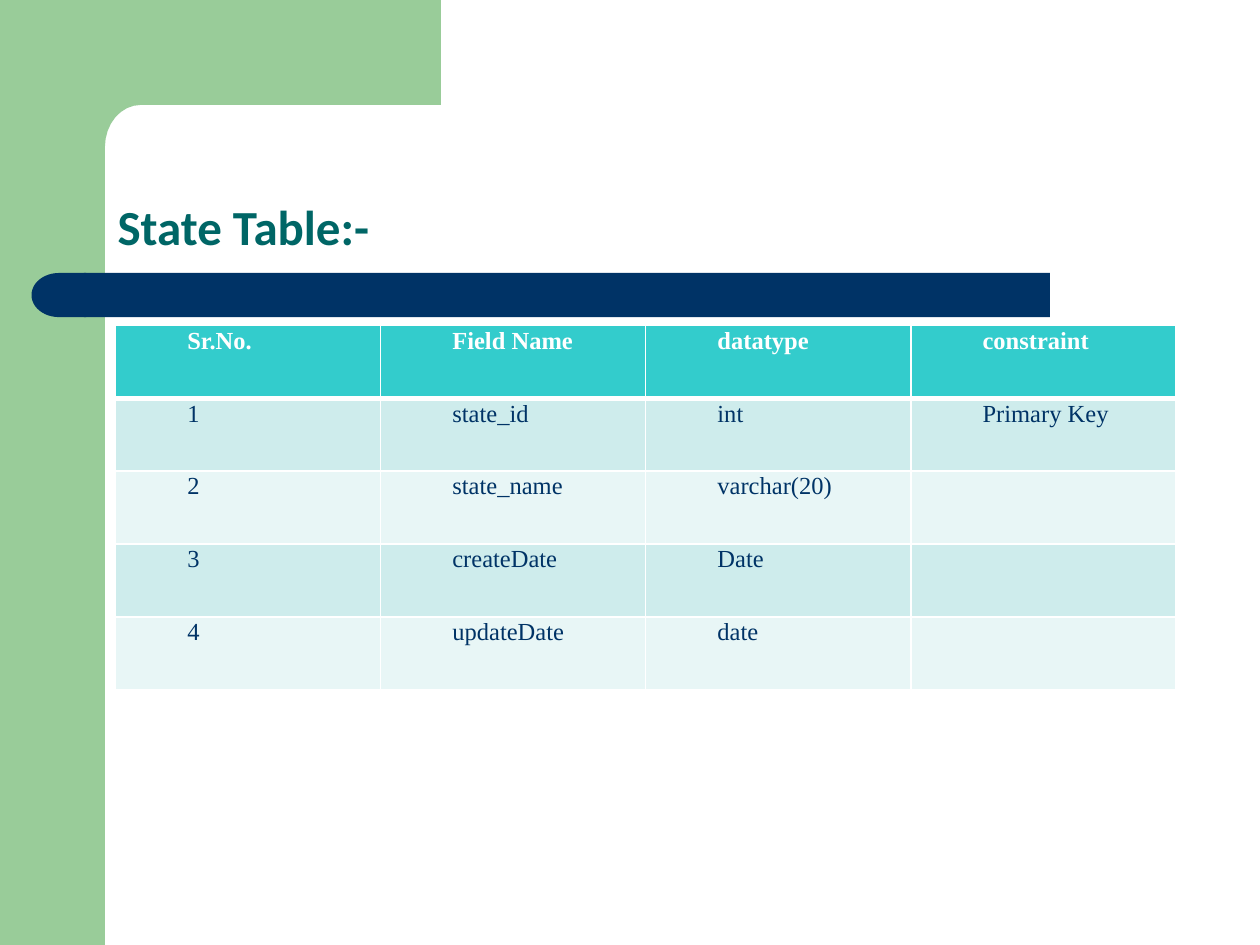
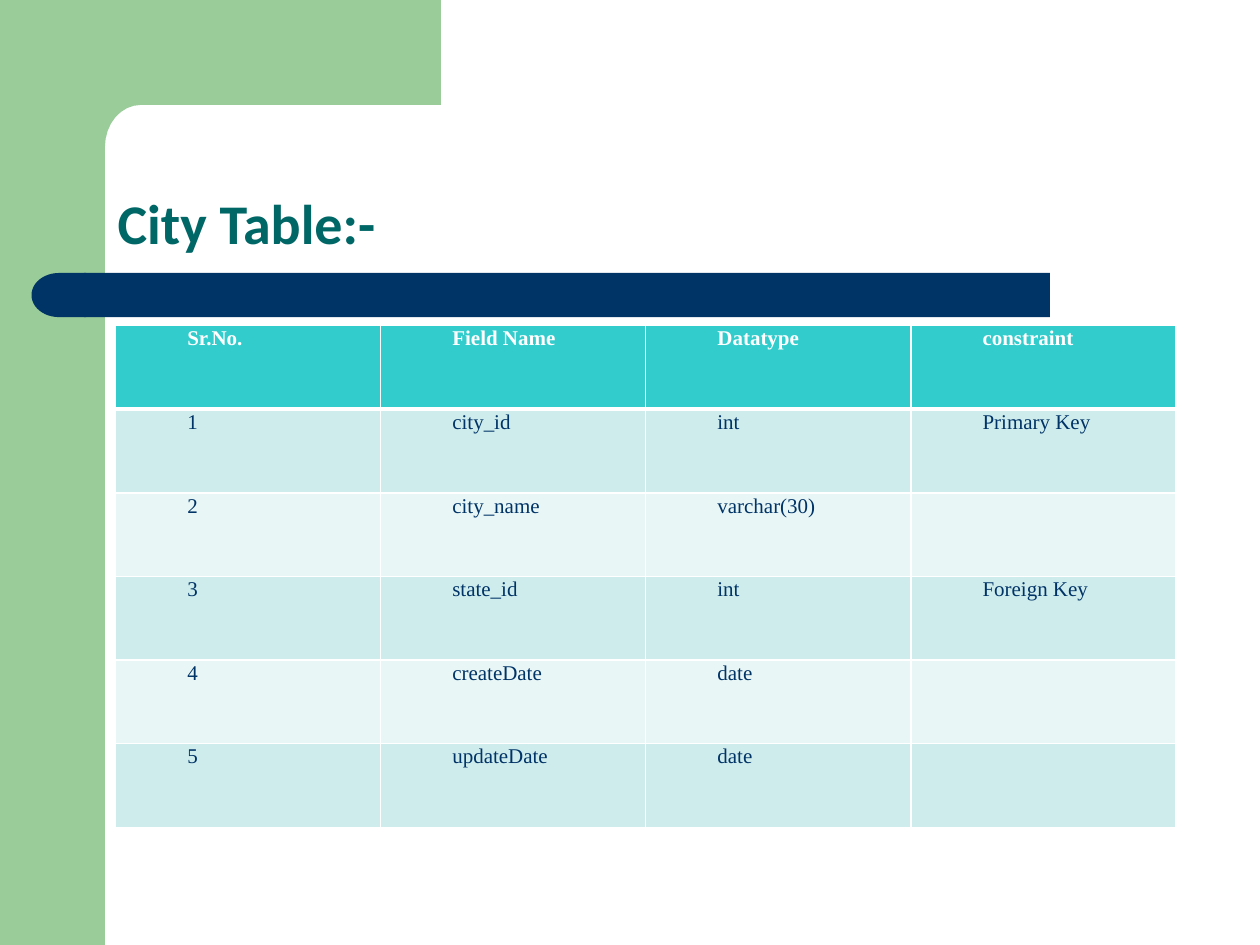
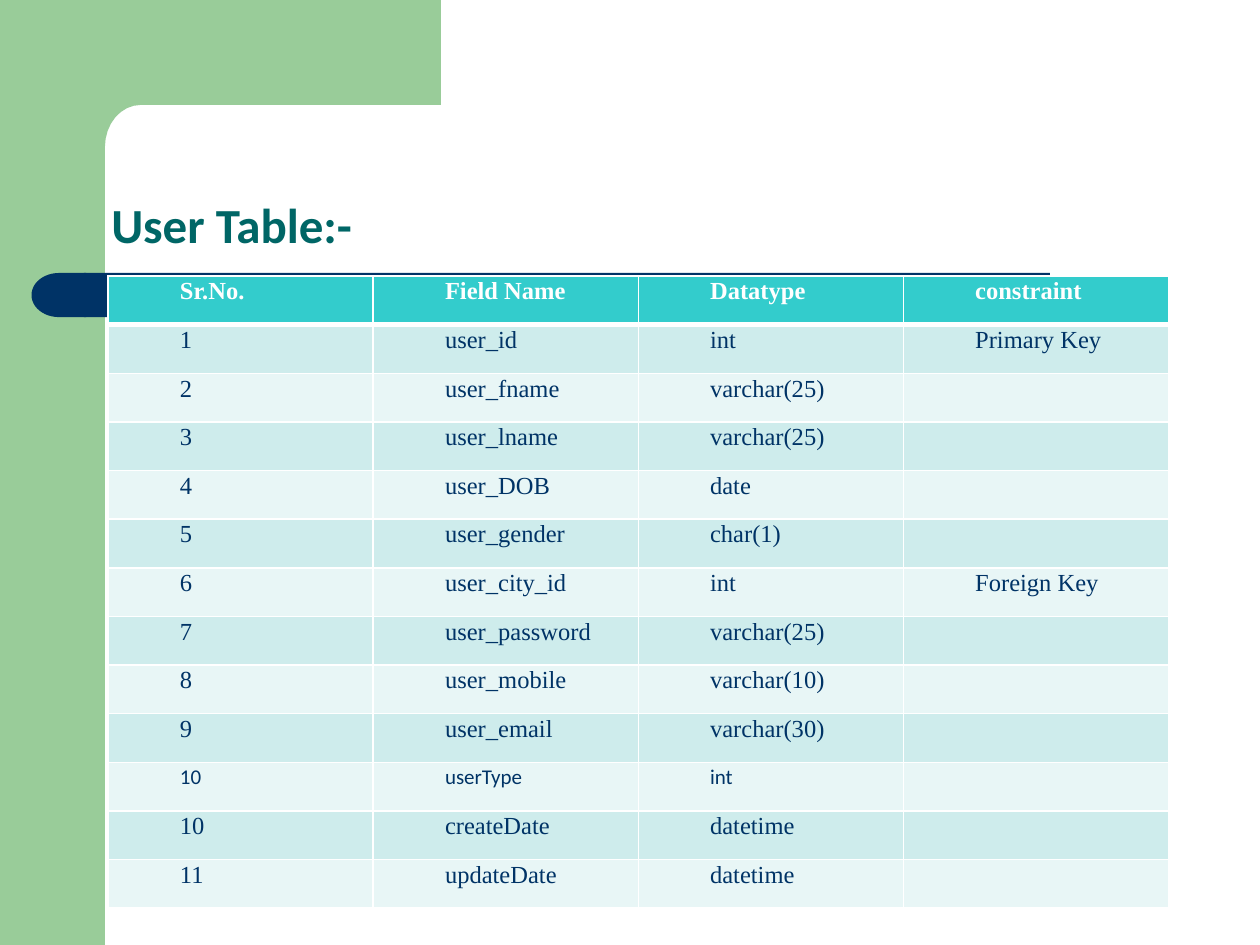
from dataclasses import dataclass
from math import cos, pi, sin

from lxml.etree import SubElement
from pptx import Presentation
from pptx.dml.color import RGBColor
from pptx.enum.shapes import MSO_SHAPE as Preset
from pptx.enum.text import MSO_ANCHOR as Anchor, MSO_AUTO_SIZE as AutoSize, PP_ALIGN as Align
from pptx.oxml.ns import qn
from pptx.util import Inches, Pt


@dataclass(frozen=True)
class Theme:
    green: str = "99CC99"
    navy: str = "003366"
    teal: str = "006666"
    header: str = "33CCCC"
    odd: str = "CEECEC"
    even: str = "E8F6F6"
    white: str = "FFFFFF"
    heading_font: str = "Calibri"
    table_font: str = "Times New Roman"
    heading: int = 28
    large_heading: int = 32
    entry: int = 14
    small_entry: int = 12


theme = Theme()
GRID_COLUMNS, GRID_ROWS = 120, 90

deck = Presentation()
deck.slide_width, deck.slide_height = Inches(10), Inches(7.5)
unit = deck.slide_width / GRID_COLUMNS


def grid(*steps):
    return [round(step * unit) for step in steps]


def style(font, face, size, color, bold):
    font.name, font.size, font.bold = face, Pt(size), bold
    font.color.rgb = RGBColor.from_string(color)


entities = [
    dict(
        heading="State Table:-", heading_size=theme.heading, heading_at=(10, 10, 104, 15),
        table_at=(11, 31, 101, 34.7), entry_size=theme.entry,
        rows=[
            ("Sr.No.", "Field Name", "datatype", "constraint"),
            ("1", "state_id", "int", "Primary Key"),
            ("2", "state_name", "varchar(20)", ""),
            ("3", "createDate", "Date", ""),
            ("4", "updateDate", "date", ""),
        ],
    ),
    dict(
        heading="City Table:-", heading_size=theme.large_heading, heading_at=(10, 10, 104, 15),
        table_at=(11, 31, 101, 47.8), entry_size=theme.small_entry,
        rows=[
            ("Sr.No.", "Field Name", "Datatype", "constraint"),
            ("1", "city_id", "int", "Primary Key"),
            ("2", "city_name", "varchar(30)", ""),
            ("3", "state_id", "int", "Foreign Key"),
            ("4", "createDate", "date", ""),
            ("5", "updateDate", "date", ""),
        ],
    ),
    dict(
        heading="User Table:-", heading_size=theme.heading, heading_at=(9.4, 16, 88.4, 8.8),
        table_at=(10.3, 26.3, 101, 60.2), entry_size=theme.entry,
        rows=[
            ("Sr.No.", "Field Name", "Datatype", "constraint"),
            ("1", "user_id", "int", "Primary Key"),
            ("2", "user_fname", "varchar(25)", ""),
            ("3", "user_lname", "varchar(25)", ""),
            ("4", "user_DOB", "date", ""),
            ("5", "user_gender", "char(1)", ""),
            ("6", "user_city_id", "int", "Foreign Key"),
            ("7", "user_password", "varchar(25)", ""),
            ("8", "user_mobile", "varchar(10)", ""),
            ("9", "user_email", "varchar(30)", ""),
            ("10", "userType", "int", ""),
            ("10", "createDate", "datetime", ""),
            ("11", "updateDate", "datetime", ""),
        ],
    ),
]

layout = deck.slide_layouts.get_by_name("Title Only")
slides = [deck.slides.add_slide(layout) for entity in entities]

canvas = slides[0].shapes
side_band = canvas.add_shape(Preset.RECTANGLE, *grid(0, 0, 10, GRID_ROWS))
curve = [
    grid(13.4 - 3.4 * sin(step * pi / 16), 14 - 4 * cos(step * pi / 16)) for step in range(9)
]
outline = canvas.build_freeform(*grid(42, 0))
outline.add_line_segments([grid(42, 10), *curve, grid(10, 15.4), grid(6, 15.4), grid(6, 0)])
corner = outline.convert_to_shape()
bar = canvas.add_shape(Preset.RECTANGLE, *grid(8, 26, 92, 4.2))
bar_cap = canvas.add_shape(Preset.FLOWCHART_DELAY, *grid(3, 26, 5.2, 4.2))
bar_cap.element.spPr.find(qn("a:xfrm")).set("flipH", "1")

for part, color in (
    (side_band, theme.green), (corner, theme.green), (bar, theme.navy), (bar_cap, theme.navy)
):
    part.shadow.inherit = False
    part.fill.solid()
    part.fill.fore_color.rgb = RGBColor.from_string(color)
    part.line.fill.background()
    layout.shapes.element.append(part.element)

for slide, entity in zip(slides, entities):
    heading = slide.shapes.title
    heading.left, heading.top, heading.width, heading.height = grid(*entity["heading_at"])
    heading.text_frame.text = entity["heading"]
    heading.text_frame.auto_size = AutoSize.NONE
    heading.text_frame.vertical_anchor = Anchor.BOTTOM
    heading_line = heading.text_frame.paragraphs[0]
    heading_line.alignment = Align.LEFT
    heading_line.line_spacing = 0.9
    style(heading_line.font, theme.heading_font, entity["heading_size"], theme.teal, True)

    rows = entity["rows"]
    fields = slide.shapes.add_table(len(rows), len(rows[0]), *grid(*entity["table_at"])).table
    for row, entries in enumerate(rows):
        is_header = row == 0
        fill = theme.header if is_header else theme.odd if row % 2 else theme.even
        is_small = "userType" in entries
        face = theme.heading_font if is_small else theme.table_font
        size = theme.small_entry if is_small else entity["entry_size"]
        for column, entry in enumerate(entries):
            cell = fields.cell(row, column)
            cell.text = entry
            cell.margin_left = cell.margin_right = Inches(0.07)
            cell.margin_top = cell.margin_bottom = 0

            borders = {"lnL": 1, "lnR": 1, "lnT": 3 if row == 1 else 1, "lnB": 3 if is_header else 1}
            for side, width in borders.items():
                edge = SubElement(cell._tc.tcPr, qn(f"a:{side}"), w=str(Pt(width)))
                SubElement(SubElement(edge, qn("a:solidFill")), qn("a:srgbClr"), val=theme.white)
            cell.fill.solid()
            cell.fill.fore_color.rgb = RGBColor.from_string(fill)

            line = cell.text_frame.paragraphs[0]
            line.alignment = Align.JUSTIFY
            line.line_spacing = 1.07
            if column == len(entries) - 1:
                line.space_after = Pt(8)
            line._p.get_or_add_pPr().set("marL", str(Inches(0.5)))
            style(line.font, face, size, theme.white if is_header else theme.navy, is_header)

deck.save("out.pptx")
